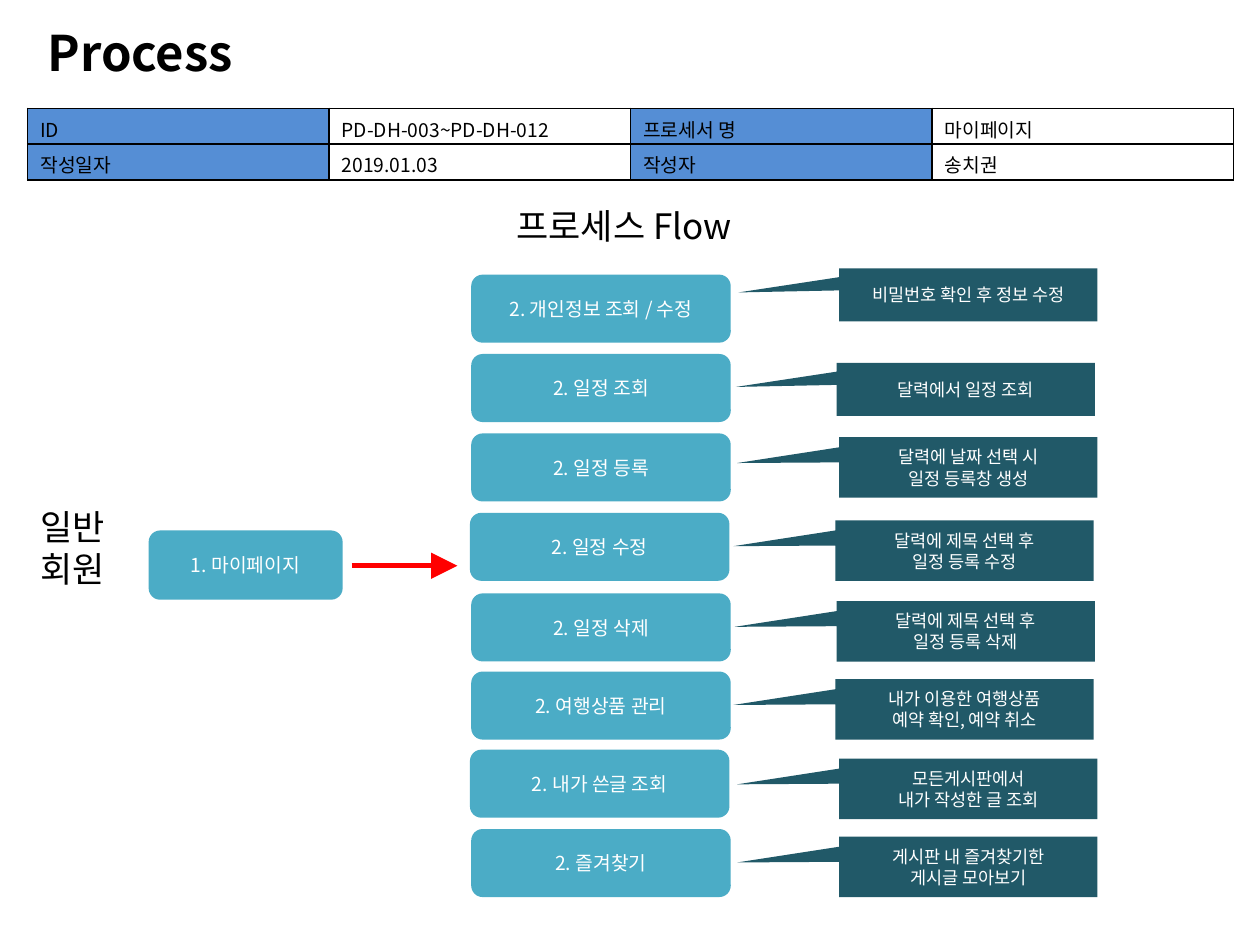
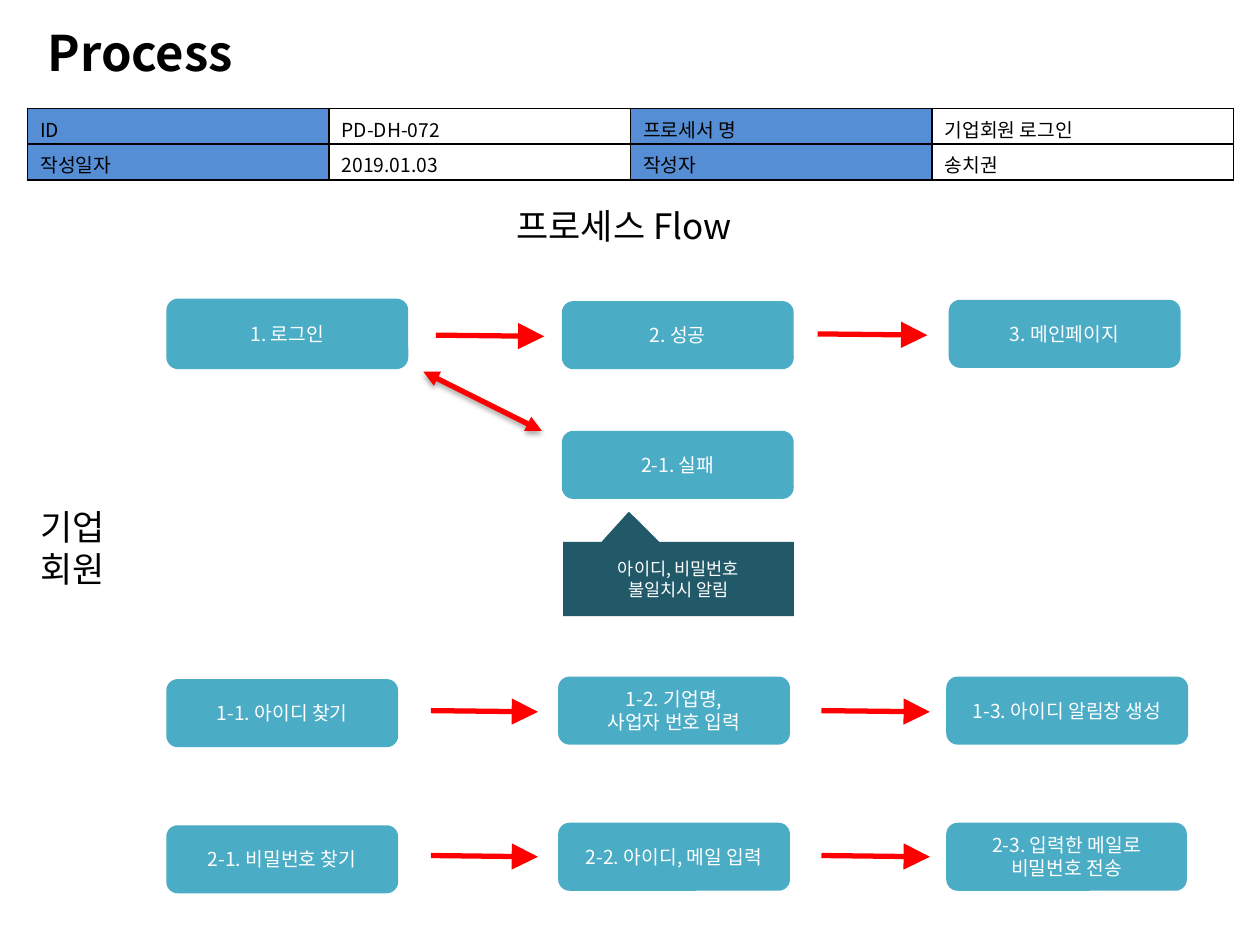
from lxml import etree
from pptx import Presentation
from pptx.dml.color import RGBColor
from pptx.enum.shapes import MSO_CONNECTOR, MSO_SHAPE
from pptx.enum.text import MSO_ANCHOR, PP_ALIGN
from pptx.oxml import parse_xml
from pptx.oxml.ns import nsdecls, qn
from pptx.util import Inches, Pt

ROUNDED = MSO_SHAPE.ROUNDED_RECTANGLE
CALLOUT = MSO_SHAPE.RECTANGULAR_CALLOUT
STRAIGHT = MSO_CONNECTOR.STRAIGHT
MIDDLE = MSO_ANCHOR.MIDDLE
LEFT, CENTER = PP_ALIGN.LEFT, PP_ALIGN.CENTER

FONT = "Noto Sans CJK KR"
BLACK, WHITE, RED = "000000", "FFFFFF", "FF0000"
LABEL_BLUE, STEP_TEAL, NOTE_TEAL = "558ED5", "4BACC6", "215968"

SHADOW = (
    f'<a:effectLst {nsdecls("a")}>'
    '<a:outerShdw blurRad="40000" dist="23000" dir="5400000" rotWithShape="0">'
    '<a:srgbClr val="000000"><a:alpha val="35000"/></a:srgbClr>'
    "</a:outerShdw></a:effectLst>"
)
NO_EFFECT = f'<a:effectLst {nsdecls("a")}/>'


def write_text(text_frame, text, size, color, align=LEFT, bold=False):
    text_frame.word_wrap = True
    text_frame.text = text
    for paragraph in text_frame.paragraphs:
        paragraph.alignment = align
        for run in paragraph.runs:
            run.font.size = Pt(size)
            run.font.bold = bold
            run.font.name = FONT
            run.font.color.rgb = RGBColor.from_string(color)
            east_asian = etree.SubElement(run.font._element, qn("a:ea"))
            east_asian.set("typeface", FONT)


def add_box(slide, kind, place, text, fill, size, adjustments):
    shape = slide.shapes.add_shape(kind, *map(Inches, place))
    for index, value in enumerate(adjustments):
        shape.adjustments[index] = value
    shape.shadow.inherit = False
    shape.fill.solid()
    shape.fill.fore_color.rgb = RGBColor.from_string(fill)
    shape.line.fill.background()
    shape.text_frame.vertical_anchor = MIDDLE
    write_text(shape.text_frame, text, size, WHITE, CENTER)


my_page_rows = [
    (3.74, 2.18, "2. 개인정보 조회 / 수정", 6.66, 2.13, "비밀번호 확인 후 정보 수정"),
    (3.74, 2.81, "2. 일정 조회", 6.64, 2.88, "달력에서 일정 조회"),
    (3.74, 3.44, "2. 일정 등록", 6.66, 3.47, "달력에 날짜 선택 시\n일정 등록창 생성"),
    (3.73, 4.07, "2. 일정 수정", 6.63, 4.13, "달력에 제목 선택 후\n일정 등록 수정"),
    (3.74, 4.71, "2. 일정 삭제", 6.64, 4.77, "달력에 제목 선택 후\n일정 등록 삭제"),
    (3.74, 5.33, "2. 여행상품 관리", 6.63, 5.39, "내가 이용한 여행상품\n예약 확인, 예약 취소"),
    (3.73, 5.95, "2. 내가 쓴글 조회", 6.66, 6.02, "모든게시판에서\n내가 작성한 글 조회"),
    (3.74, 6.58, "2. 즐겨찾기", 6.66, 6.64, "게시판 내 즐겨찾기한\n게시글 모아보기"),
]
my_page_steps = [((1.18, 4.21, 1.54, 0.55), "1. 마이페이지")]
my_page_notes = []
for step_left, step_top, step, note_left, note_top, note in my_page_rows:
    my_page_steps.append(((step_left, step_top, 2.06, 0.54), step))
    if "\n" in note:
        height, pointer = 0.48, (-0.895, -0.073)
    else:
        height, pointer = 0.42, (-0.89, -0.045)
    my_page_notes.append(((note_left, note_top, 2.05, height), note, pointer))

login_steps = [
    ((1.32, 2.37, 1.92, 0.56), "1. 로그인"),
    ((4.46, 2.39, 1.84, 0.54), "2. 성공"),
    ((7.53, 2.38, 1.84, 0.54), "3. 메인페이지"),
    ((4.46, 3.42, 1.84, 0.54), "2-1. 실패"),
    ((1.32, 5.39, 1.84, 0.54), "1-1. 아이디 찾기"),
    ((4.43, 5.37, 1.84, 0.54), "1-2. 기업명,\n사업자 번호 입력"),
    ((7.51, 5.37, 1.92, 0.54), "1-3. 아이디 알림창 생성"),
    ((1.32, 6.55, 1.84, 0.54), "2-1. 비밀번호 찾기"),
    ((4.43, 6.53, 1.84, 0.54), "2-2. 아이디, 메일 입력"),
    ((7.51, 6.53, 1.91, 0.54), "2-3. 입력한 메일로\n비밀번호 전송"),
]
login_notes = [((4.47, 4.3, 1.83, 0.59), "아이디, 비밀번호\n불일치시 알림", (-0.215, -0.906))]
login_arrows = [
    (3.46, 2.66, 4.32, 2.67, False),
    (6.49, 2.65, 7.36, 2.66, False),
    (3.36, 2.95, 4.3, 3.42, True),
]
for arrow_top in (5.64, 6.79):
    for start, end in ((3.42, 4.27), (6.52, 7.38)):
        login_arrows.append((start, arrow_top, end, arrow_top + 0.01, False))

processes = [
    ("PD-DH-003~PD-DH-012", "마이페이지", "일반\n회원",
     my_page_steps, my_page_notes, [(2.79, 4.49, 3.63, 4.49, False)]),
    ("PD-DH-072", "기업회원 로그인", "기업\n회원",
     login_steps, login_notes, login_arrows),
]

presentation = Presentation()
presentation.slide_width = Inches(10)
presentation.slide_height = Inches(7.5)

for process_id, process_name, member, steps, notes, arrows in processes:
    slide = presentation.slides.add_slide(presentation.slide_layouts[6])

    for place, text, size, bold in (
        ((0.28, 0.13, 8.98, 0.57), "Process", 28, True),
        ((4, 1.57, 2.01, 0.44), "프로세스 Flow", 20, False),
        ((0.22, 3.96, 0.76, 0.77), member, 20, False),
    ):
        text_box = slide.shapes.add_textbox(*map(Inches, place))
        write_text(text_box.text_frame, text, size, BLACK, bold=bold)

    table = slide.shapes.add_table(
        2, 4, Inches(0.22), Inches(0.86), Inches(9.57), Inches(0.57)
    ).table
    table.first_row = False
    table.horz_banding = False
    table_texts = [
        ("ID", process_id, "프로세서 명", process_name),
        ("작성일자", "2019.01.03", "작성자", "송치권"),
    ]
    for row, texts in enumerate(table_texts):
        for column, text in enumerate(texts):
            cell = table.cell(row, column)
            write_text(cell.text_frame, text, 11, BLACK)
            properties = cell._tc.get_or_add_tcPr()
            for edge in ("lnL", "lnR", "lnT", "lnB"):
                properties.append(parse_xml(
                    f'<a:{edge} {nsdecls("a")} w="12700"><a:solidFill>'
                    f'<a:srgbClr val="{BLACK}"/></a:solidFill></a:{edge}>'
                ))
            cell.fill.solid()
            fill = WHITE if column % 2 else LABEL_BLUE
            cell.fill.fore_color.rgb = RGBColor.from_string(fill)

    for place, text in steps:
        add_box(slide, ROUNDED, place, text, STEP_TEAL, 11, [0.167])
    for place, text, pointer in notes:
        add_box(slide, CALLOUT, place, text, NOTE_TEAL, 10, pointer)

    for *ends, two_way in arrows:
        arrow = slide.shapes.add_connector(STRAIGHT, *map(Inches, ends))
        arrow.line.color.rgb = RGBColor.from_string(RED)
        arrow.line.width = Pt(3)
        line = arrow.line._get_or_add_ln()
        head_size = "med" if two_way else "lg"
        for end in ("a:headEnd", "a:tailEnd") if two_way else ("a:tailEnd",):
            etree.SubElement(
                line, qn(end), type="triangle", w=head_size, len=head_size
            )
        arrow._element.spPr.append(parse_xml(SHADOW if two_way else NO_EFFECT))

presentation.save("out.pptx")
